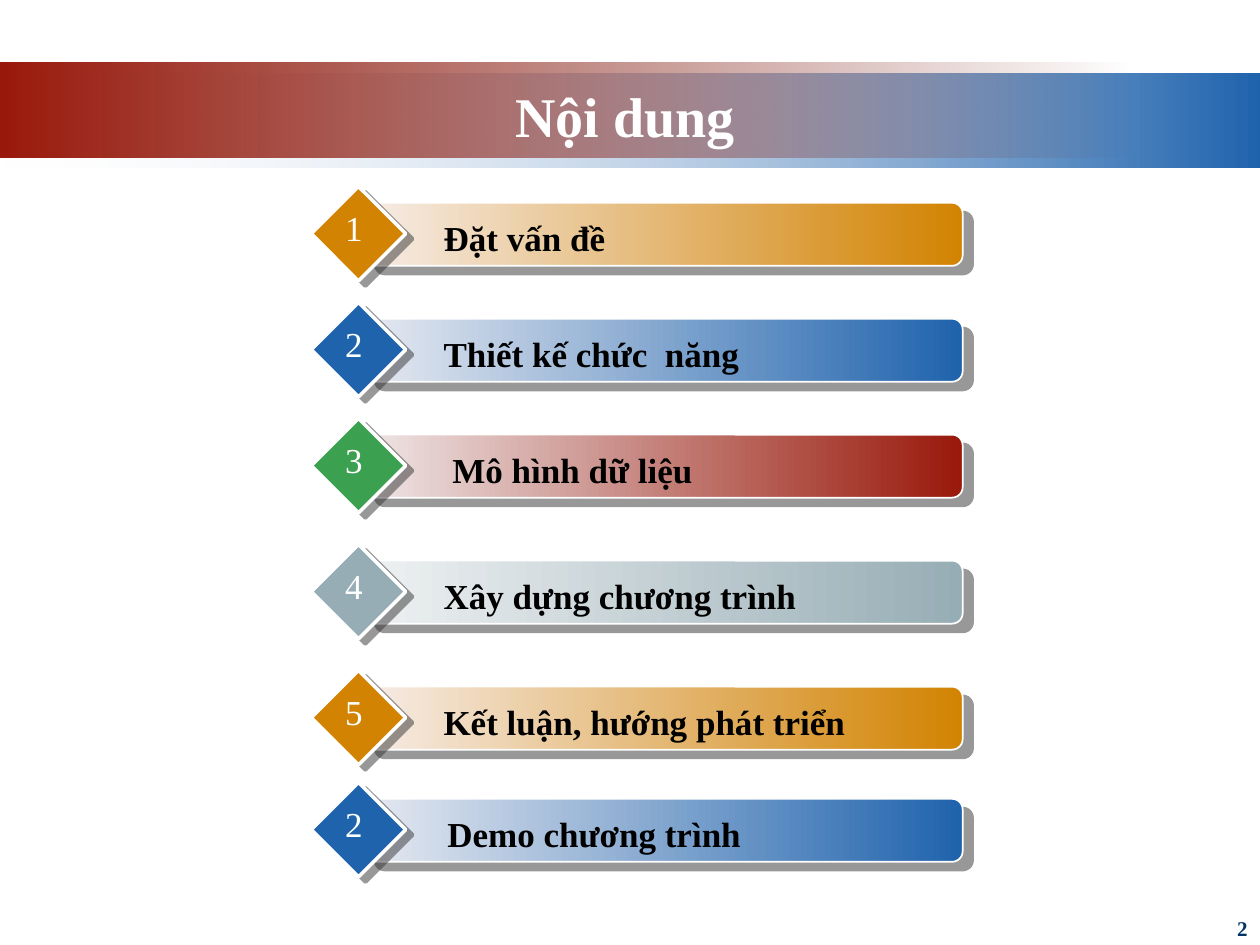
from dataclasses import dataclass

from lxml import etree
from pptx import Presentation
from pptx.dml.color import RGBColor
from pptx.enum import shapes, text
from pptx.oxml.ns import qn
from pptx.util import Inches, Pt


@dataclass(frozen=True)
class Theme:
    font: str = "Times New Roman"
    white: str = "FFFFFF"
    black: str = "000000"
    navy: str = "003366"
    shadow: str = "333333"
    red: str = "99190B"
    dark_red: str = "6D1208"
    blue: str = "1F63AD"
    orange: str = "D28302"
    green: str = "3CA051"
    gray: str = "97ADB5"
    pale_red: str = "EEE6E6"
    pale_blue: str = "E6E9F1"
    pale_orange: str = "F6ECE6"
    pale_gray: str = "EEF1F2"
    mist: str = "F1F2F7"
    title_size: int = 32
    item_size: int = 20
    page_size: int = 12


theme = Theme()
rgb = RGBColor.from_string


def add_figure(parent, kind, place, colors, line=0, shadow=None, clear_stop=None):
    """Add a preset shape with a solid or left-to-right gradient fill."""
    figure = parent.add_shape(kind, *map(Inches, place))
    figure.shadow.inherit = False
    properties = figure._element.spPr
    if len(colors) == 1:
        figure.fill.solid()
        figure.fill.fore_color.rgb = rgb(colors[0])
    else:
        figure.fill.gradient()
        figure.fill.gradient_angle = 0
        for stop, color in zip(figure.fill.gradient_stops, colors):
            stop.color.rgb = rgb(color)
    if clear_stop is not None:
        stop_color = properties.findall(".//" + qn("a:srgbClr"))[clear_stop]
        etree.SubElement(stop_color, qn("a:alpha"), val="0")
    if line:
        figure.line.color.rgb = rgb(theme.white)
        figure.line.width = Pt(line)
    else:
        figure.line.fill.background()
    if shadow:
        distance, angle = shadow
        outer = etree.SubElement(
            properties.find(qn("a:effectLst")), qn("a:outerShdw"),
            dist=str(Pt(distance)), dir=str(angle * 60000),
            algn="ctr", rotWithShape="0")
        color = etree.SubElement(outer, qn("a:srgbClr"), val=theme.shadow)
        etree.SubElement(color, qn("a:alpha"), val="50000")
    return figure


def write(box, words, size, color, bold=True, align=text.PP_ALIGN.LEFT):
    """Put one formatted paragraph in a text frame."""
    para = box.text_frame.paragraphs[0]
    para.text = words
    para.alignment = align
    para.font.name = theme.font
    para.font.size = Pt(size)
    para.font.bold = bold
    para.font.color.rgb = rgb(color)


deck = Presentation()
deck.slide_width, deck.slide_height = Inches(10), Inches(7.5)
page = deck.slides.add_slide(deck.slide_layouts[5])

# Header bands, with the title in front of them
rectangle = shapes.MSO_SHAPE.RECTANGLE
add_figure(page.shapes, rectangle, (0, 0.58, 10, 0.75),
           (theme.mist, theme.blue), clear_stop=0)
add_figure(page.shapes, rectangle, (0, 0.5, 9, 0.75),
           (theme.red, theme.dark_red), clear_stop=1)
title = page.shapes.title
page.shapes._spTree.append(title._element)
title.left, title.top = Inches(0.92), Inches(0.6)
title.width, title.height = Inches(8.08), Inches(0.62)
title.text_frame.vertical_anchor = text.MSO_ANCHOR.MIDDLE
write(title, "Nội dung", theme.title_size, theme.white,
      align=text.PP_ALIGN.CENTER)

# Agenda items: bar top, number, label, label indent, bar colours, diamond colour
orange_bar = (theme.pale_orange, theme.orange)
blue_bar = (theme.pale_blue, theme.blue)
red_bar = (theme.pale_red, theme.red)
gray_bar = (theme.pale_gray, theme.gray)
items = [
    (1.61, "1", "Đặt vấn đề", 0.28, orange_bar, theme.orange),
    (2.53, "2", "Thiết kế chức  năng", 0.28, blue_bar, theme.blue),
    (3.45, "3", "Mô hình dữ liệu", 0.35, red_bar, theme.green),
    (4.45, "4", "Xây dựng chương trình", 0.28, gray_bar, theme.gray),
    (5.45, "5", "Kết luận, hướng phát triển", 0.28, orange_bar, theme.orange),
    (6.34, "2", "Demo chương trình", 0.31, blue_bar, theme.blue),
]
for top, number, label, indent, bar_colors, diamond_color in items:
    group = page.shapes.add_group_shape().shapes
    add_figure(group, shapes.MSO_SHAPE.ROUNDED_RECTANGLE,
               (2.89, top, 4.75, 0.5), bar_colors, line=1, shadow=(7.8, 40))
    add_figure(group, shapes.MSO_SHAPE.DIAMOND,
               (2.47, top - 0.13, 0.75, 0.75), (diamond_color,),
               line=2, shadow=(5, 37))

    label_box = group.add_textbox(
        Inches(3.14), Inches(top + 0.06), Inches(3.75), Inches(0.44))
    label_box.text_frame.word_wrap = True
    label_box.text_frame.margin_left = Inches(0.1 + indent)
    write(label_box, label, theme.item_size, theme.black)

    number_box = group.add_textbox(
        Inches(2.64), Inches(top - 0.02), Inches(0.34), Inches(0.44))
    number_box.text_frame.word_wrap = False
    write(number_box, number, theme.item_size, theme.white, bold=False)

    for box in (label_box, number_box):
        box.text_frame.auto_size = text.MSO_AUTO_SIZE.SHAPE_TO_FIT_TEXT

# Page number
page_box = page.shapes.add_textbox(
    Inches(7.67), Inches(7.22), Inches(2.33), Inches(0.28))
page_box.text_frame.word_wrap = True
write(page_box, "2", theme.page_size, theme.navy, align=text.PP_ALIGN.RIGHT)

deck.save("out.pptx")
